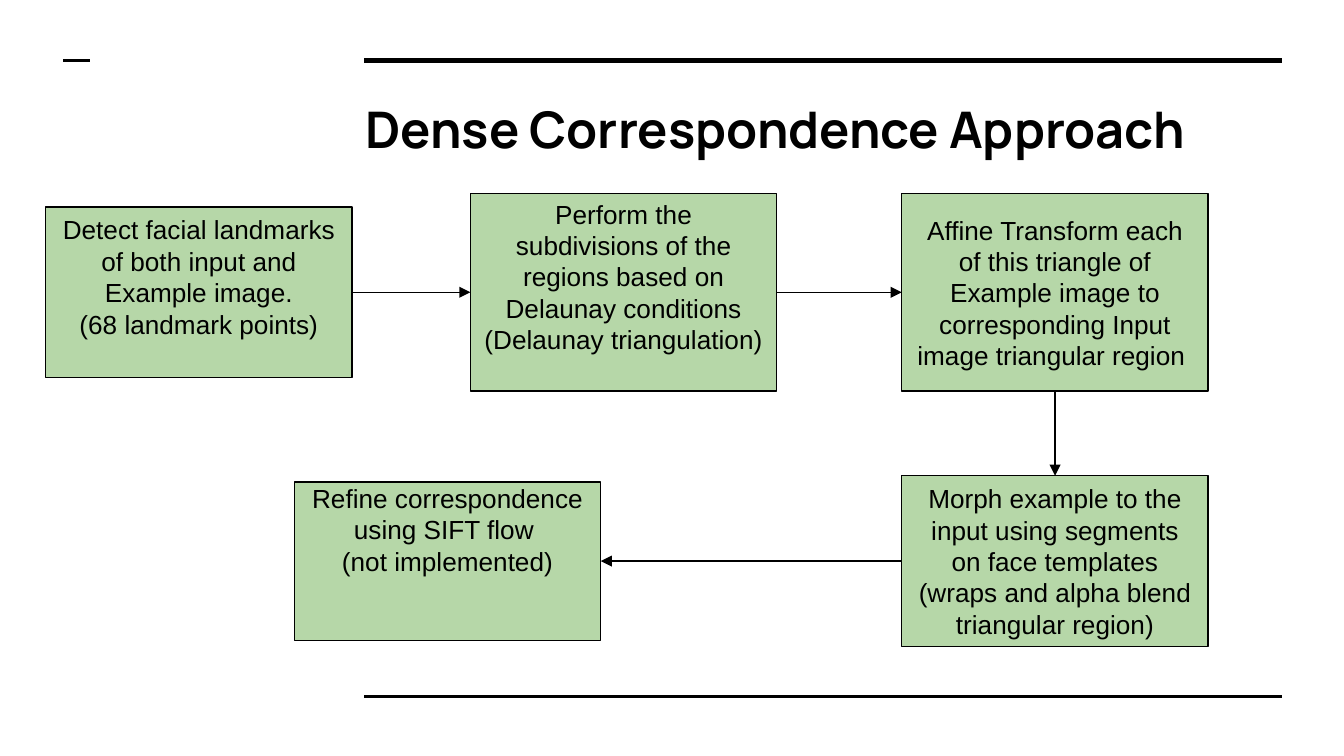
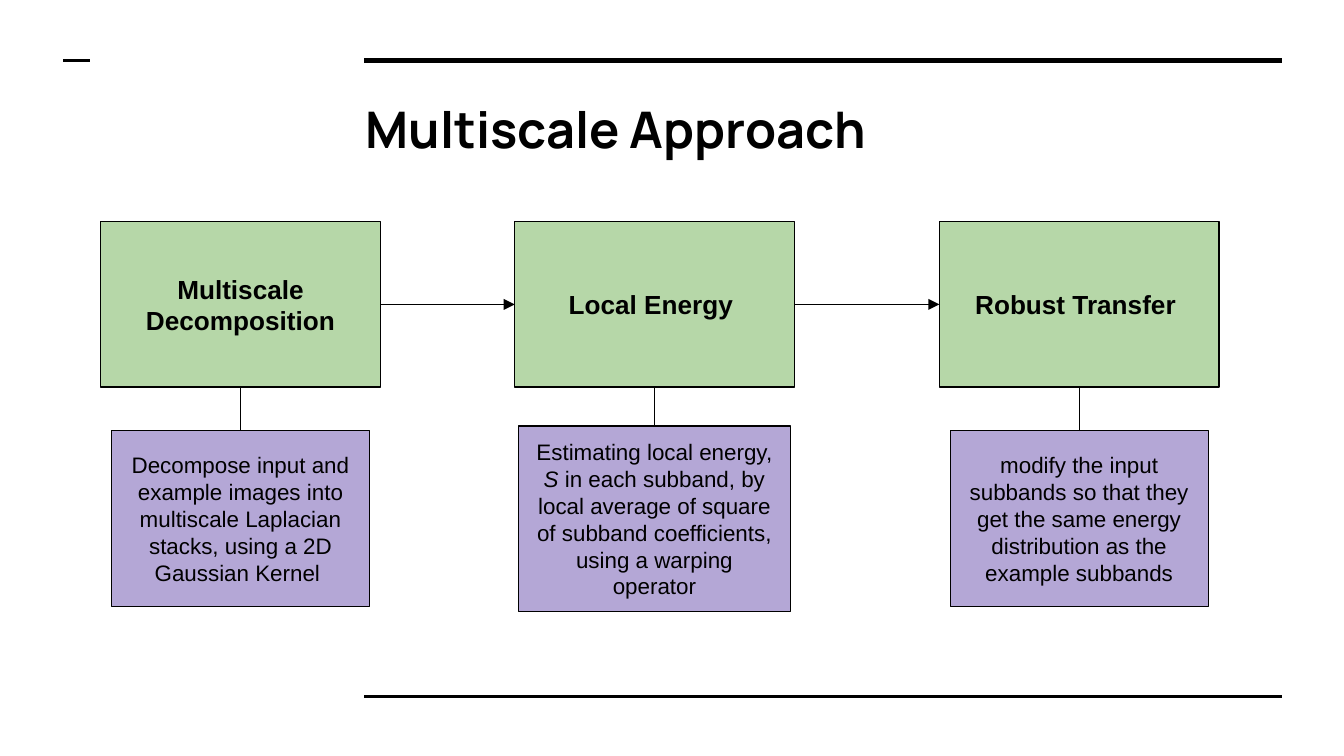
from typing import NamedTuple

from lxml import etree
from pptx import Presentation
from pptx import util as u
from pptx.dml.color import RGBColor
from pptx.enum import shapes, text
from pptx.oxml import ns

# Grid: 100 columns across, with square cells
WIDTH, HEIGHT = u.Inches(10), u.Inches(5.625)
CELL = WIDTH / 100

# Shared look
BLACK, GREEN, PURPLE = "000000", "B6D7A8", "B4A7D6"
HEAD, BODY = "Manrope", "Arial"
PAD = 1.0
LINE = 2.35  # rows taken by one line of step text
TOP, LEFT, BOTTOM, RIGHT = range(4)  # connection sites of a box


class Box(NamedTuple):
    """A box given by its centre; *stars* in the text mark italics."""
    text: str
    mid: float
    row: float
    wide: float
    high: float
    fill: str = GREEN
    size: int = 14
    bold: bool = False
    lift: int = 0  # lines kept free below the text


class Link(NamedTuple):
    """A line between sites of two boxes, given by index."""
    start: int
    out: int
    end: int
    into: int
    arrow: bool = True


class Rule(NamedTuple):
    left: float
    right: float
    row: float
    points: float


RULES = [Rule(27.1, 95.4, 4.5, 3), Rule(27.1, 95.4, 51.8, 1.5), Rule(4.7, 6.7, 4.5, 1.5)]


def span(cells: float) -> u.Emu:
    return u.Emu(round(cells * CELL))


def color(code: str) -> RGBColor:
    return RGBColor.from_string(code)


def style(font, name: str, size: int, bold: bool) -> None:
    font.name, font.size, font.bold = name, u.Pt(size), bold
    font.color.rgb = color(BLACK)


def pad(frame, top: float = PAD, bottom: float = PAD) -> None:
    frame.margin_left = frame.margin_right = span(PAD)
    frame.margin_top, frame.margin_bottom = span(top), span(bottom)
    frame.word_wrap = True
    frame.auto_size = text.MSO_AUTO_SIZE.NONE


def add_line(slide, points: float, ends=(0, 0, 0, 0), arrow: bool = False):
    line = slide.shapes.add_connector(
        shapes.MSO_CONNECTOR.STRAIGHT, *(span(end) for end in ends))
    line.line.color.rgb = color(BLACK)
    line.line.width = u.Pt(points)
    if arrow:
        etree.SubElement(line.line._get_or_add_ln(), ns.qn("a:tailEnd"), type="triangle")
    etree.SubElement(line._element.spPr, ns.qn("a:effectLst"))
    return line


def add_box(slide, box: Box):
    shape = slide.shapes.add_shape(
        shapes.MSO_SHAPE.RECTANGLE,
        span(box.mid - box.wide / 2), span(box.row - box.high / 2),
        span(box.wide), span(box.high))
    shape.shadow.inherit = False
    shape.fill.solid()
    shape.fill.fore_color.rgb = color(box.fill)
    shape.line.color.rgb = color(BLACK)
    shape.line.width = u.Pt(0.75)
    frame = shape.text_frame
    if box.lift:
        pad(frame, 0, box.lift * LINE)
    else:
        pad(frame)
    frame.vertical_anchor = text.MSO_ANCHOR.MIDDLE
    frame.text = "\n".join([""] * len(box.text.split("\n")))
    for para, words in zip(frame.paragraphs, box.text.split("\n")):
        para.alignment = text.PP_ALIGN.CENTER
        for index, part in enumerate(words.split("*")):
            run = para.add_run()
            run.text = part
            style(run.font, BODY, box.size, box.bold)
            run.font.italic = index % 2 == 1
    return shape


def add_slide(deck, title: str, boxes: list[Box], links: list[Link]):
    slide = deck.slides.add_slide(deck.slide_layouts[5])
    head = slide.shapes.title
    head.left, head.top, head.width, head.height = map(span, (26.2, 6.3, 69.1, 6.9))
    frame = head.text_frame
    frame.text = title
    pad(frame)
    frame.vertical_anchor = text.MSO_ANCHOR.TOP
    para = frame.paragraphs[0]
    para.alignment = text.PP_ALIGN.LEFT
    style(para.runs[0].font, HEAD, 27, True)

    drawn = [add_box(slide, box) for box in boxes]
    for link in links:
        line = add_line(slide, 0.75, arrow=link.arrow)
        line.begin_connect(drawn[link.start], link.out)
        line.end_connect(drawn[link.end], link.into)
    return slide


def add_rules(deck, slide) -> None:
    """Draw the rules, then hand them to the layout all slides share."""
    tree = deck.slide_layouts[5].shapes.element
    for rule in RULES:
        line = add_line(slide, rule.points, (rule.left, rule.row, rule.right, rule.row))
        tree.append(line._element)


def dense_boxes() -> list[Box]:
    one, two, three = 14.8, 46.4, 78.5
    upper, lower, wide = 21.75, 41.75, 22.8
    return [
        Box("Detect facial landmarks of both input and Example image.\n"
            "(68 landmark points)", one, upper, wide, 12.7, lift=1),
        Box("Perform the subdivisions of the regions based on Delaunay conditions\n"
            "(Delaunay triangulation)", two, upper, wide, 14.7, lift=1),
        Box("Affine Transform each of this triangle of Example image to "
            "corresponding Input image triangular region ", three, upper, wide, 14.7),
        Box("Morph example to the input using segments on face templates\n"
            "(wraps and alpha blend triangular region)", three, lower, wide, 12.7),
        Box("Refine correspondence using SIFT flow \n(not implemented)",
            33.3, lower, wide, 11.8, lift=2),
    ]


def scale_boxes() -> list[Box]:
    mids = (17.9, 48.7, 80.3)
    heads = ("Multiscale Decomposition", "Local Energy ", "Robust Transfer ")
    notes = (
        ("Decompose input and example images into multiscale Laplacian stacks, "
         "using a 2D Gaussian Kernel ", 19.2, 13.1),
        ("Estimating local energy, *S* in each subband, by local average of square "
         "of subband coefficients, using a warping operator", 20.2, 13.8),
        ("modify the input subbands so that they get the same energy distribution "
         "as the example subbands", 19.2, 13.1),
    )
    return [Box(head, mid, 22.65, 20.8, 12.3, bold=True)
            for head, mid in zip(heads, mids)] + [
        Box(note, mid, 38.6, wide, high, PURPLE, 12)
        for (note, wide, high), mid in zip(notes, mids)]


def main() -> None:
    deck = Presentation()
    deck.slide_width, deck.slide_height = WIDTH, HEIGHT

    # Dense flow: along the top, down, then back
    first = add_slide(deck, "Dense Correspondence Approach", dense_boxes(), [
        Link(0, RIGHT, 1, LEFT), Link(1, RIGHT, 2, LEFT),
        Link(2, BOTTOM, 3, TOP), Link(3, LEFT, 4, RIGHT)])
    add_rules(deck, first)

    # Three stages, each with a note below
    add_slide(deck, "Multiscale Approach", scale_boxes(),
              [Link(i, BOTTOM, i + 3, TOP, False) for i in range(3)]
              + [Link(i, RIGHT, i + 1, LEFT) for i in range(2)])

    deck.save("out.pptx")


if __name__ == "__main__":
    main()
